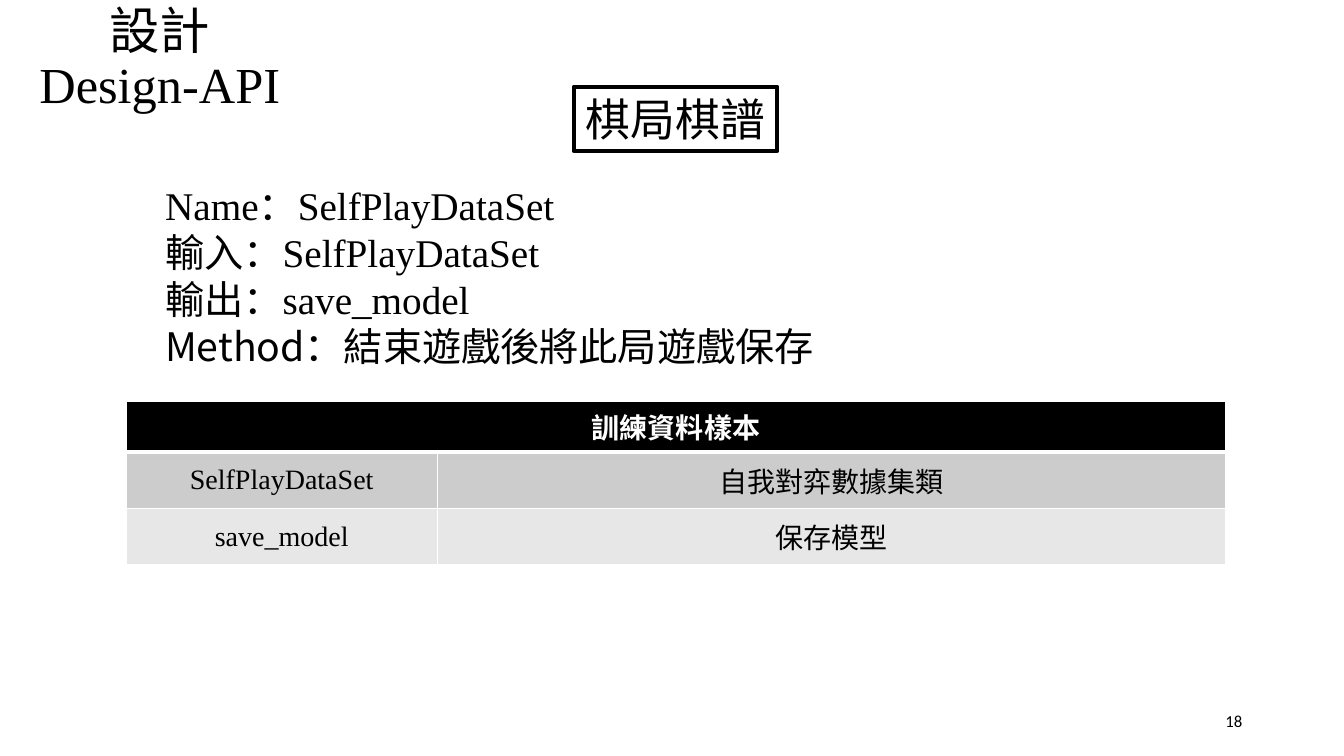
"""Build the Design-API slide about the game record data set."""
from dataclasses import dataclass

from lxml import etree
from pptx import Presentation
from pptx.dml.color import RGBColor
from pptx.enum.shapes import MSO_SHAPE
from pptx.enum.text import MSO_ANCHOR, PP_ALIGN
from pptx.oxml.ns import qn
from pptx.slide import Slide
from pptx.table import _Cell
from pptx.text.text import TextFrame
from pptx.util import Inches, Pt

BLACK = RGBColor(0x00, 0x00, 0x00)
WHITE = RGBColor(0xFF, 0xFF, 0xFF)
DARK_BAND = RGBColor(0xCC, 0xCC, 0xCC)
LIGHT_BAND = RGBColor(0xE7, 0xE7, 0xE7)
SERIF = "Times New Roman"
CJK = "Noto Sans CJK SC"
SANS = "Calibri"
LEFT, CENTER, RIGHT = PP_ALIGN.LEFT, PP_ALIGN.CENTER, PP_ALIGN.RIGHT
TOP, MIDDLE = MSO_ANCHOR.TOP, MSO_ANCHOR.MIDDLE
RECTANGLE = MSO_SHAPE.RECTANGLE


@dataclass(frozen=True)
class Line:
    text: str
    font: str = SERIF


@dataclass(frozen=True)
class TextBox:
    lines: tuple[Line, ...]
    left: float
    top: float
    width: float
    height: float
    size: int
    align: PP_ALIGN = LEFT
    anchor: MSO_ANCHOR = TOP
    spacing: float = 1.0


@dataclass(frozen=True)
class Row:
    texts: tuple[str, ...]
    height: float
    fill: RGBColor
    color: RGBColor = BLACK
    bold: bool = False
    top_border: int = 1
    bottom_border: int = 1


TEXT_BOXES = (
    TextBox((Line("設計\nDesign-API"),), 0, 0, 3.17, 1.19, 36, CENTER, MIDDLE, 0.9),
    TextBox(
        (
            Line("Name：SelfPlayDataSet"),
            Line("輸入：SelfPlayDataSet"),
            Line("輸出：save_model"),
            Line("Method：結束遊戲後將此局遊戲保存", CJK),
        ),
        1.54, 1.75, 7.66, 1.99, 28,
    ),
    TextBox((Line("18", SANS),), 9.42, 6.95, 3, 0.4, 12, RIGHT, MIDDLE),
)
COLUMN_WIDTHS = (3.09, 7.82)
ROWS = (
    Row(("訓練資料樣本",), 0.46, BLACK, WHITE, bold=True, bottom_border=3),
    Row(("SelfPlayDataSet", "自我對弈數據集類"), 0.56, DARK_BAND, top_border=3),
    Row(("save_model", "保存模型"), 0.56, LIGHT_BAND),
)


def write_text(tf: TextFrame, *lines: Line, size: int, color: RGBColor = BLACK,
               bold: bool = False, align: PP_ALIGN = LEFT, spacing: float = 1.0) -> None:
    """Write one paragraph per line, with line breaks kept inside it."""
    for i, line in enumerate(lines):
        p = tf.add_paragraph() if i else tf.paragraphs[0]
        p.alignment = align
        p.line_spacing = spacing
        for j, part in enumerate(line.text.split("\n")):
            if j:
                p.add_line_break()
            r = p.add_run()
            r.text = part
            r.font.name = line.font
            r.font.size = Pt(size)
            r.font.bold = bold
            r.font.color.rgb = color
            etree.SubElement(r.font._element, qn("a:ea"), typeface=CJK)


def add_text_box(slide: Slide, box: TextBox) -> None:
    """Add a wrapped text box."""
    sp = slide.shapes.add_textbox(
        Inches(box.left), Inches(box.top), Inches(box.width), Inches(box.height))
    tf = sp.text_frame
    tf.word_wrap = True
    tf.vertical_anchor = box.anchor
    write_text(tf, *box.lines, size=box.size, align=box.align, spacing=box.spacing)


def add_heading(slide: Slide) -> None:
    """Add the framed heading."""
    sp = slide.shapes.add_shape(
        RECTANGLE, Inches(5.69), Inches(0.86), Inches(2.02), Inches(0.64))
    sp.shadow.inherit = False
    sp.fill.background()
    sp.line.color.rgb = BLACK
    sp.line.width = Pt(3)
    tf = sp.text_frame
    tf.word_wrap = False
    tf.vertical_anchor = TOP
    write_text(tf, Line("棋局棋譜", CJK), size=32, align=CENTER)


def set_borders(cell: _Cell, row: Row) -> None:
    """Draw white borders on the four sides of a cell."""
    tc_pr = cell._tc.get_or_add_tcPr()
    widths = {"a:lnL": 1, "a:lnR": 1, "a:lnT": row.top_border, "a:lnB": row.bottom_border}
    for i, (tag, width) in enumerate(widths.items()):
        ln = etree.Element(qn(tag), w=str(Pt(width)))
        fill = etree.SubElement(ln, qn("a:solidFill"))
        etree.SubElement(fill, qn("a:srgbClr"), val=str(WHITE))
        tc_pr.insert(i, ln)


def add_sample_table(slide: Slide) -> None:
    """Add the training sample table with its merged header."""
    table = slide.shapes.add_table(
        len(ROWS), len(COLUMN_WIDTHS), Inches(1.25), Inches(3.98),
        Inches(sum(COLUMN_WIDTHS)), Inches(sum(row.height for row in ROWS))).table
    for column, width in zip(table.columns, COLUMN_WIDTHS):
        column.width = Inches(width)
    table.cell(0, 0).merge(table.cell(0, 1))
    for i, row in enumerate(ROWS):
        table.rows[i].height = Inches(row.height)
        for cell in table.rows[i].cells:
            cell.fill.solid()
            cell.fill.fore_color.rgb = row.fill
            cell.vertical_anchor = MIDDLE
            set_borders(cell, row)
        for cell, text in zip(table.rows[i].cells, row.texts):
            write_text(cell.text_frame, Line(text), size=20, color=row.color,
                       bold=row.bold, align=CENTER)


def main() -> None:
    """Build and save the presentation."""
    prs = Presentation()
    prs.slide_width = Inches(13.33)
    prs.slide_height = Inches(7.5)
    slide = prs.slides.add_slide(prs.slide_layouts[6])
    add_sample_table(slide)
    add_heading(slide)
    for box in TEXT_BOXES:
        add_text_box(slide, box)
    prs.save("out.pptx")


if __name__ == "__main__":
    main()
